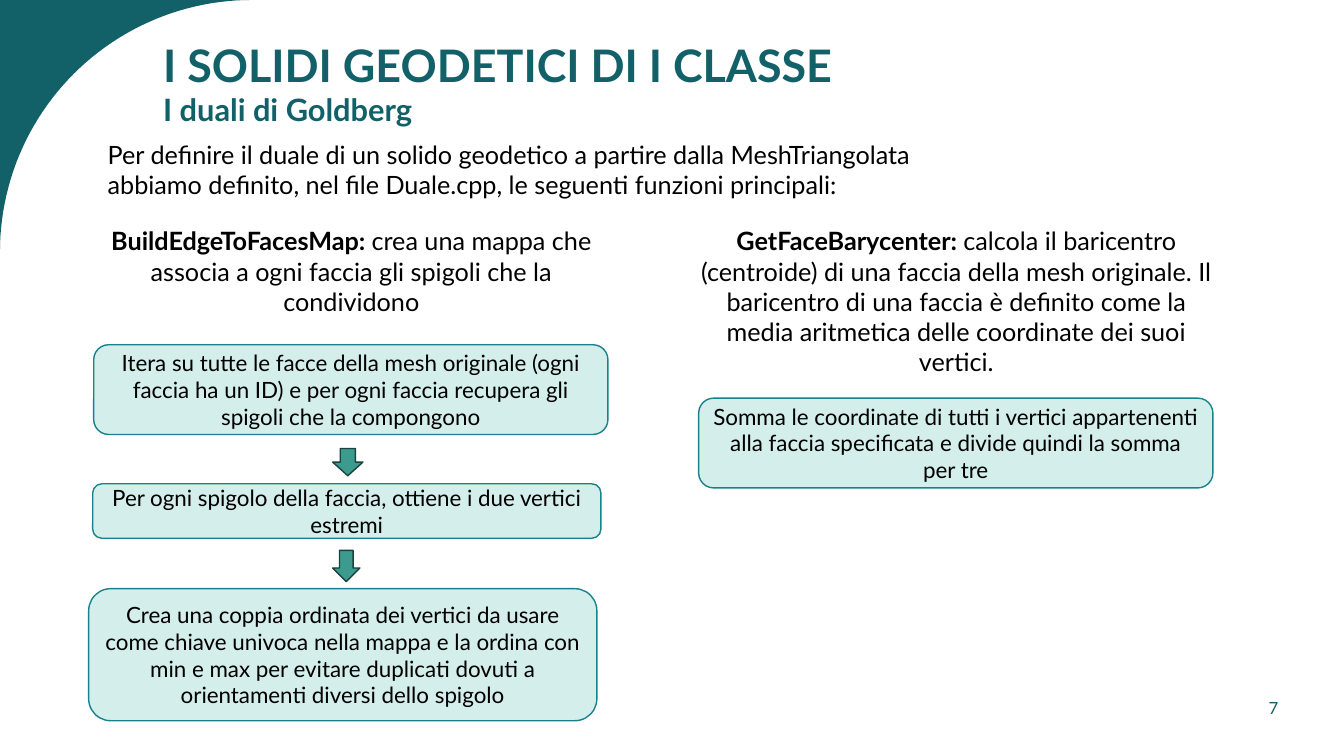
import math

from pptx import Presentation
from pptx.dml.color import RGBColor
from pptx.enum.shapes import MSO_SHAPE
from pptx.enum.text import MSO_ANCHOR, PP_ALIGN
from pptx.util import Inches, Pt

TEAL = RGBColor(0x12, 0x61, 0x69)
BLACK = RGBColor(0x00, 0x00, 0x00)
BOX_FILL = RGBColor(0xD4, 0xEE, 0xEB)
BOX_LINE = RGBColor(0x18, 0x81, 0x8C)
ARROW_FILL = RGBColor(0x3C, 0x9A, 0x8F)
ARROW_LINE = RGBColor(0x1A, 0x43, 0x3F)
ROUND_RECT = MSO_SHAPE.ROUNDED_RECTANGLE
DOWN_ARROW = MSO_SHAPE.DOWN_ARROW
LEFT, CENTER = PP_ALIGN.LEFT, PP_ALIGN.CENTER
TOP, MIDDLE = MSO_ANCHOR.TOP, MSO_ANCHOR.MIDDLE
FONT = "Lato"

prs = Presentation()
prs.slide_width = Inches(13.33)
prs.slide_height = Inches(7.5)
s = prs.slides.add_slide(prs.slide_layouts[6])


def write(sp, lines, color=BLACK, align=LEFT, anchor=TOP):
    """Fill sp with one paragraph per (size, bold lead, plain text)."""
    tf = sp.text_frame
    tf.word_wrap = True
    tf.vertical_anchor = anchor
    for i, (size, lead, text) in enumerate(lines):
        p = tf.add_paragraph() if i else tf.paragraphs[0]
        p.alignment = align
        p.font.name = FONT
        p.font.size = Pt(size)
        p.font.color.rgb = color
        for part, bold in ((lead, True), (text, False)):
            if part:
                r = p.add_run()
                r.text = part
                r.font.bold = bold


def add_block(kind, box, fill, line):
    sp = s.shapes.add_shape(kind, *map(Inches, box))
    sp.shadow.inherit = False
    sp.fill.solid()
    sp.fill.fore_color.rgb = fill
    sp.line.color.rgb = line
    sp.line.width = Pt(1)
    return sp


# Corner decoration: a square with a quarter circle cut out
R = 2.5
STEPS = 48
angles = [math.pi / 2 * i / STEPS for i in range(STEPS + 1)]
arc = [(Inches(R - R * math.sin(a)), Inches(R - R * math.cos(a))) for a in angles]
fb = s.shapes.build_freeform(0, 0)
fb.add_line_segments(arc, close=True)
corner = fb.convert_to_shape()
corner.shadow.inherit = False
corner.fill.solid()
corner.fill.fore_color.rgb = TEAL
corner.line.fill.background()

# Page number, title, introduction and the two function descriptions
texts = [
    ((11.92, 6.54, 1.42, 0.96), [(12, "", "7")], TEAL, CENTER, MIDDLE),
    ((1.52, 0.32, 7.02, 1.01),
     [(32, "I SOLIDI GEODETICI DI I CLASSE", ""), (22, "I duali di Goldberg", "")],
     TEAL, LEFT, TOP),
    ((0.97, 1.33, 8.51, 0.71),
     [(18, "", "Per definire il duale di un solido geodetico a partire dalla "
               "MeshTriangolata abbiamo definito, nel file Duale.cpp, le seguenti "
               "funzioni principali:")],
     BLACK, LEFT, TOP),
    ((0.82, 2.19, 5.33, 1.01),
     [(18, "BuildEdgeToFacesMap: ",
       "crea una mappa che associa a ogni faccia gli spigoli che la condividono")],
     BLACK, CENTER, TOP),
    ((6.82, 2.19, 5.33, 1.62),
     [(18, "GetFaceBarycenter: ",
       "calcola il baricentro (centroide) di una faccia della mesh originale. "
       "Il baricentro di una faccia è definito come la media aritmetica delle "
       "coordinate dei suoi vertici.")],
     BLACK, CENTER, TOP),
]
for box, lines, color, align, anchor in texts:
    sp = s.shapes.add_textbox(*map(Inches, box))
    write(sp, lines, color, align, anchor)

# Step boxes
steps = [
    ((0.93, 3.42, 5.1, 0.89),
     "Itera su tutte le facce della mesh originale (ogni faccia ha un ID) e per "
     "ogni faccia recupera gli spigoli che la compongono"),
    ((0.92, 4.8, 5.04, 0.54),
     "Per ogni spigolo della faccia, ottiene i due vertici estremi"),
    ((0.88, 5.84, 5.04, 1.31),
     "Crea una coppia ordinata dei vertici da usare come chiave univoca nella "
     "mappa e la ordina con min e max per evitare duplicati dovuti a "
     "orientamenti diversi dello spigolo"),
    ((6.93, 3.95, 5.1, 0.89),
     "Somma le coordinate di tutti i vertici appartenenti alla faccia "
     "specificata e divide quindi la somma per tre"),
]
for box, text in steps:
    sp = add_block(ROUND_RECT, box, BOX_FILL, BOX_LINE)
    write(sp, [(16, "", text)], align=CENTER, anchor=MIDDLE)

# Arrows between the steps on the left
for box in ((3.3, 4.45, 0.3, 0.27), (3.3, 5.46, 0.27, 0.31)):
    add_block(DOWN_ARROW, box, ARROW_FILL, ARROW_LINE)

prs.save("out.pptx")
